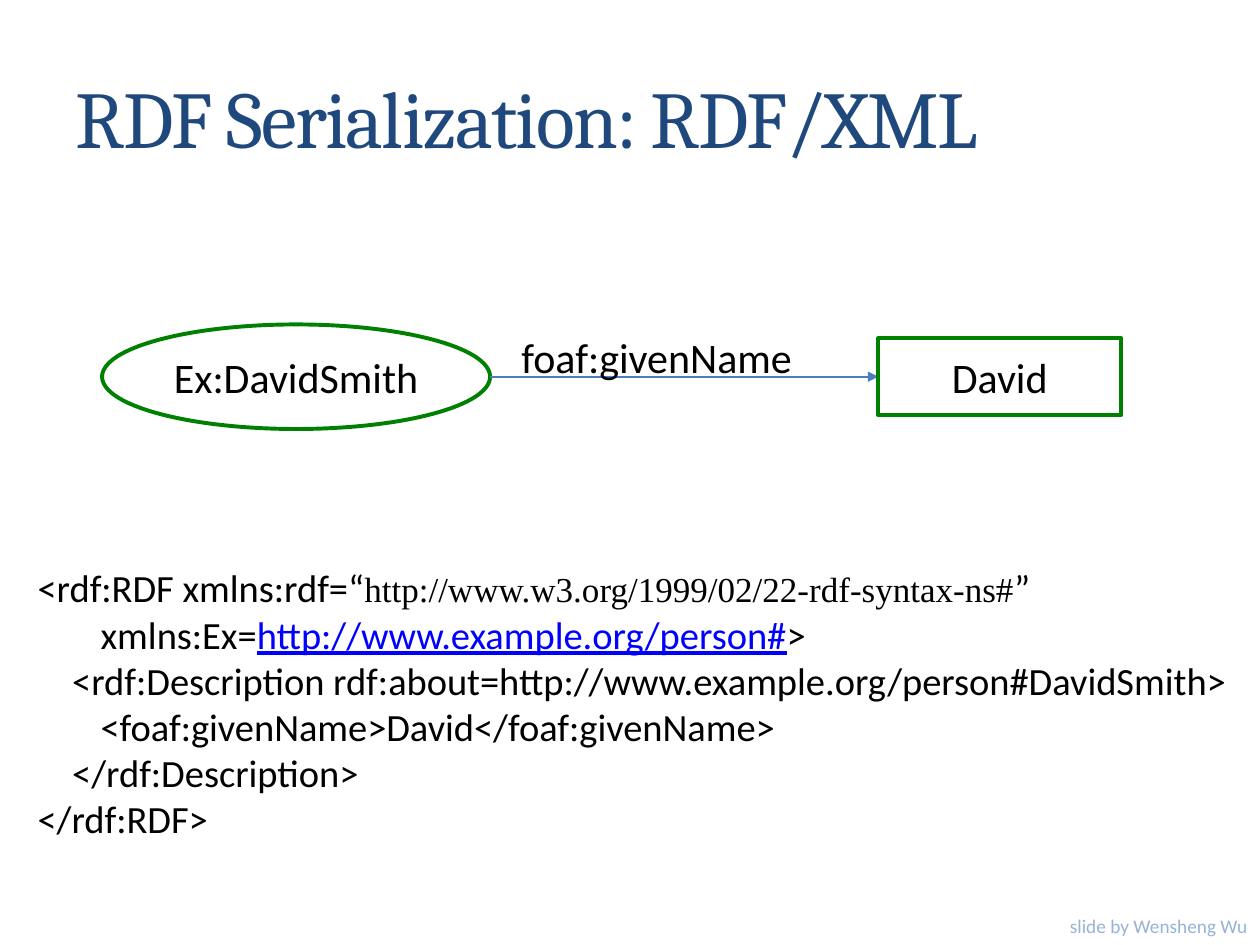
from lxml.etree import SubElement as Sub
from pptx import Presentation
from pptx.dml.color import RGBColor
from pptx.enum.shapes import MSO_CONNECTOR as Conn, MSO_SHAPE as Shape
from pptx.enum.text import MSO_ANCHOR as Anchor, PP_ALIGN as Align
from pptx.oxml import parse_xml
from pptx.oxml.ns import qn
from pptx.util import Inches, Pt

# Content
TITLE = "RDF Serialization: RDF/XML"
SUBJECT, VERB, VALUE = "Ex:DavidSmith", "foaf:givenName", "David"
CREDIT = "slide by Wensheng Wu"
BODY = ("Calibri", 22, "000000")
URI = ("Times New Roman", 20, "000000")
LINK = ("Calibri", 22, "0000FF")
LABEL = ("Calibri", 24, "000000")
CODE = [
    [("<rdf:RDF xmlns:rdf=“", BODY),
     ("http://www.w3.org/1999/02/22-rdf-syntax-ns#", URI), ("”", BODY)],
    [("\txmlns:Ex=", BODY), ("http://www.example.org/person#", LINK), (">", BODY)],
    [("    <rdf:Description rdf:about=http://www.example.org/person#DavidSmith>", BODY)],
    [("\t<foaf:givenName>David</foaf:givenName>", BODY)],
    [("    </rdf:Description>", BODY)],
    [("</rdf:RDF>", BODY)],
]
GREEN, BLUE = "008000", "4B7EBC"
SHADOW = (
    '<a:effectLst xmlns:a="http://schemas.openxmlformats.org/drawingml/2006/main">'
    '<a:outerShdw blurRad="50800" dist="38100" dir="2700000" algn="tl">'
    '<a:srgbClr val="000000"><a:alpha val="45000"/></a:srgbClr>'
    '</a:outerShdw></a:effectLst>')

# Diagram: both nodes sit on one axis
AXIS = 2.99
OVAL = (0.81, 3.08, 0.83)  # left, width, height
RECT = (6.97, 1.93, 0.61)


def color(code):
    return RGBColor.from_string(code)


def style(run, face, size, tint):
    font = run.font
    font.name, font.size = face, Pt(size)
    font.color.rgb = color(tint)


def box(at, rows, wrap=True, align=Align.LEFT):
    frame = slide.shapes.add_textbox(*map(Inches, at)).text_frame
    frame.word_wrap = wrap
    for i, row in enumerate(rows):
        para = frame.add_paragraph() if i else frame.paragraphs[0]
        para.alignment = align
        for text, look in row:
            run = para.add_run()
            run.text = text
            style(run, *look)
            if look is LINK:
                run.font.underline = True


def node(kind, place, text):
    left, wide, high = place
    at = map(Inches, (left, AXIS - high / 2, wide, high))
    shape = slide.shapes.add_shape(kind, *at)
    shape.shadow.inherit = False
    shape.fill.background()
    shape.line.color.rgb = color(GREEN)
    shape.line.width = Pt(2.25)
    frame = shape.text_frame
    frame.text = text
    frame.vertical_anchor = Anchor.MIDDLE
    frame.paragraphs[0].alignment = Align.CENTER
    style(frame.paragraphs[0].runs[0], *LABEL)


deck = Presentation()
deck.slide_width, deck.slide_height = Inches(10), Inches(7.5)
slide = deck.slides.add_slide(deck.slide_layouts[5])

# Title with a soft shadow
title = slide.shapes.title
title.left, title.top, title.width, title.height = map(Inches, (0.5, 0.3, 9, 1.25))
title.text_frame.text = TITLE
title.text_frame.vertical_anchor = Anchor.MIDDLE
para = title.text_frame.paragraphs[0]
para.alignment = Align.LEFT
style(para.runs[0], "Cambria", 46, "1F497D")
props = para.runs[0].font._element
props.set("spc", "-100")
props.find(qn("a:solidFill")).addnext(parse_xml(SHADOW))

# RDF code
box((0.2, 4.43, 9.75, 2.69), CODE, wrap=False)

# Graph: subject, arrow, value
node(Shape.OVAL, OVAL, SUBJECT)
ends = map(Inches, (OVAL[0] + OVAL[1], AXIS, RECT[0], AXIS))
arrow = slide.shapes.add_connector(Conn.STRAIGHT, *ends)
arrow.line.color.rgb = color(BLUE)
arrow.line.width = Pt(1)
Sub(arrow.line._get_or_add_ln(), qn("a:tailEnd"), type="triangle")
Sub(arrow._element.spPr, qn("a:effectLst"))
box((4.04, 2.58, 2.67, 0.5), [[(VERB, LABEL)]])
node(Shape.RECTANGLE, RECT, VALUE)

# Credit
box((8.37, 7.21, 1.63, 0.29), [[(CREDIT, ("Calibri", 11, "95B3D7"))]],
    wrap=False, align=Align.RIGHT)

deck.save("out.pptx")
